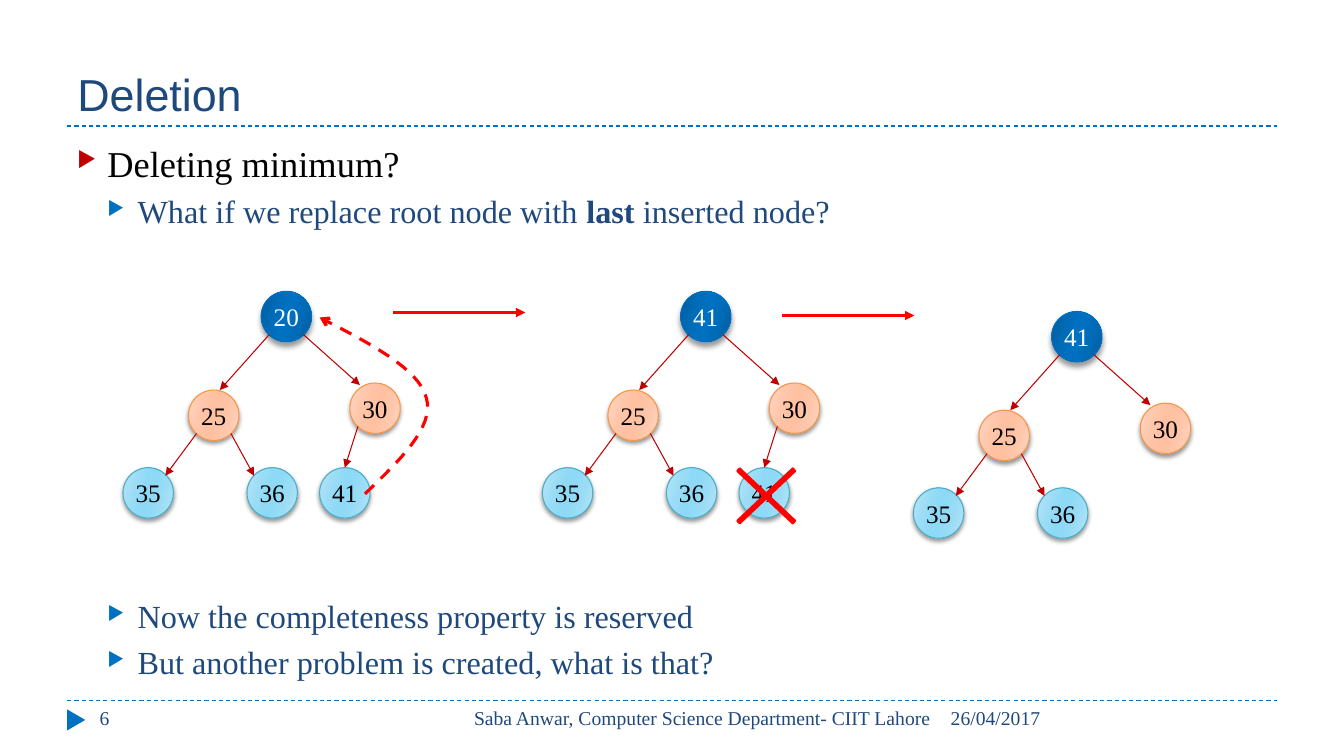
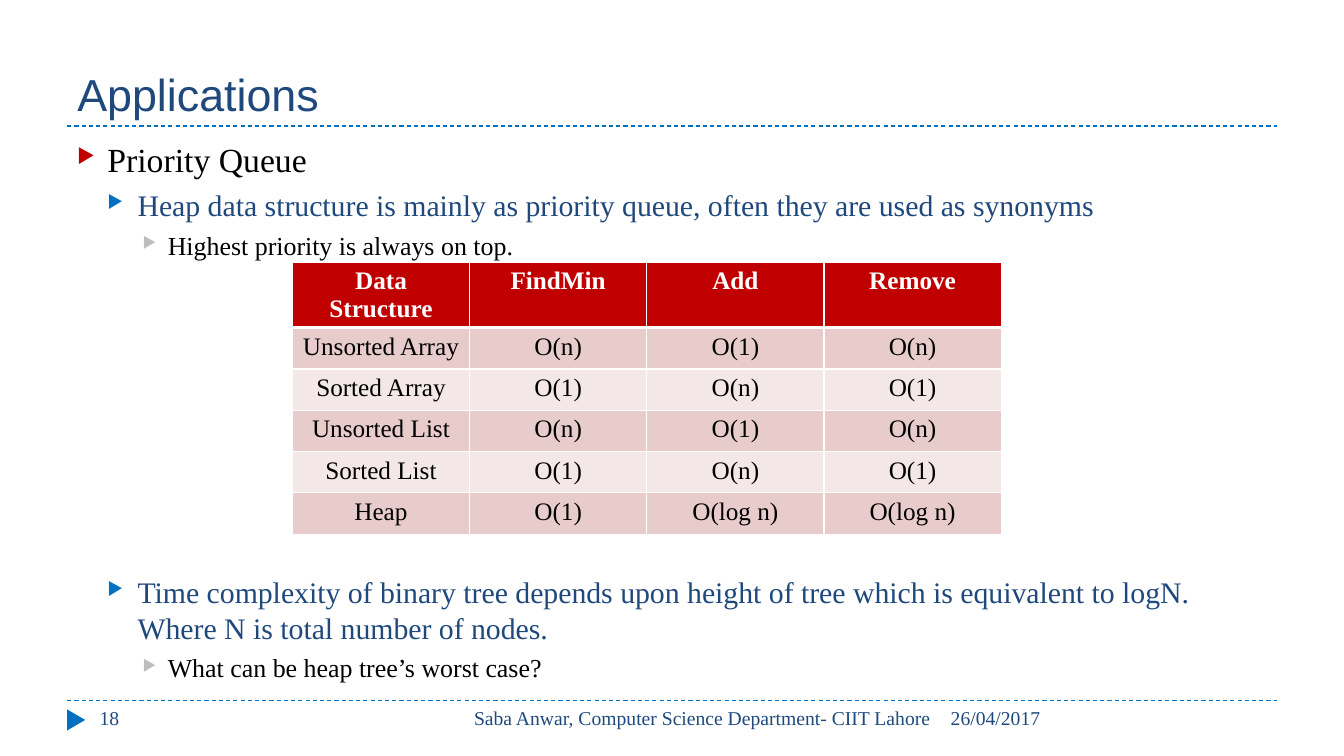
from dataclasses import dataclass

from lxml import etree
from pptx import Presentation
from pptx.dml.color import RGBColor
from pptx.enum.dml import MSO_LINE
from pptx.enum.shapes import MSO_CONNECTOR, MSO_SHAPE
from pptx.enum.text import MSO_ANCHOR, PP_ALIGN
from pptx.oxml.ns import qn
from pptx.util import Inches, Pt

DASH = MSO_LINE.DASH
STRAIGHT = MSO_CONNECTOR.STRAIGHT
OVAL, TRIANGLE, CROSS = MSO_SHAPE.OVAL, MSO_SHAPE.ISOSCELES_TRIANGLE, MSO_SHAPE.MATH_MULTIPLY
LEFT, CENTER, RIGHT = PP_ALIGN.LEFT, PP_ALIGN.CENTER, PP_ALIGN.RIGHT
BOTTOM, MIDDLE = MSO_ANCHOR.BOTTOM, MSO_ANCHOR.MIDDLE


@dataclass(frozen=True)
class Theme:
    navy: str = "1F497D"
    blue: str = "0070C0"
    crimson: str = "C00000"
    red: str = "FF0000"
    grey: str = "BDBDBD"
    black: str = "000000"
    white: str = "FFFFFF"
    bands: tuple = ("E8CCCC", "F4E7E7")
    head_font: str = "Arial"
    body_font: str = "Times New Roman"
    title: float = 32
    label: float = 18
    footer: float = 14
    gap: float = 5
    bullet: int = 60


T = Theme()

# Slide grid, in inches
W, H = 13.33, 7.5
MARGIN, CONTENT = 0.05 * W, 0.9 * W
HEAD_RULE, FOOT_RULE = H / 6, 0.927 * H

# Outline levels: indent, hanging part, bullet colour, text colour
LEVELS = [(0.3, 0.3, T.crimson, T.black),
          (0.6, 0.3, T.blue, T.navy),
          (0.9, 0.25, T.grey, T.black)]

# Tree rows: (edge, middle, centre) gradient colours, line, text, shadow blur and distance
ROOT = (("005C9D", "006BB7", "0070C0"), T.blue, T.white, 4, 3.4)
BRANCH = (("FFD7C5", "FFC6AA", "FFC1A1"), "F79646", T.black, 3, 2)
LEAF = (("B9E5F7", "99DCF6", "8DD9F6"), "4BACC6", T.black, 3, 2)

# Tree lengths are in node diameters, measured from the root's box
NODE = 0.5
TOP_TIP = (0.5, 0)
NODES = [  # x, y, look, parent, side it leaves the parent, arrow tip in own box
    (0, 0, ROOT, None, 0, None),
    (-1.44, 1.96, BRANCH, 0, -1, (0.62, 0)),
    (1.76, 1.82, BRANCH, 0, 1, (0.2, 0.04)),
    (-2.74, 3.5, LEAF, 1, -1, (0.84, 0.16)),
    (-0.28, 3.5, LEAF, 1, 1, (0.14, 0.16)),
    (1.16, 3.5, LEAF, 2, -1, TOP_TIP),
]


def rgb(value):
    return RGBColor.from_string(value)


def box(*lengths):
    return [Inches(v) for v in lengths]


def add_xml(parent, tag, **attrs):
    return etree.SubElement(parent, qn(tag), {k: str(v) for k, v in attrs.items()})


def add_color(parent, value):
    return add_xml(parent, "a:srgbClr", val=value)


def style_runs(p, size, color, font=T.body_font):
    for r in p.runs:
        r.font.size, r.font.name = Pt(size), font
        r.font.color.rgb = rgb(color)


def style_line(line, color, width, dash=None, head=None):
    line.color.rgb, line.width = rgb(color), Pt(width)
    if dash:
        line.dash_style = dash
    if head:
        add_xml(line._get_or_add_ln(), "a:tailEnd", type=head)


def add_line(s, start, end, color, width, dash=None, head=None):
    cn = s.shapes.add_connector(STRAIGHT, *box(*start, *end))
    style_line(cn.line, color, width, dash, head)
    add_xml(cn._element.spPr, "a:effectLst")
    return cn


def add_label(s, area, text, align=LEFT):
    tf = s.shapes.add_textbox(*box(*area)).text_frame
    tf.word_wrap = True
    tf.text = text
    tf.paragraphs[0].alignment = align
    style_runs(tf.paragraphs[0], T.footer, T.navy)


# Slide frame: title, dashed rules and footer
def add_frame(prs, title, number):
    s = prs.slides.add_slide(prs.slide_layouts[5])
    sp = s.shapes.title
    sp.left, sp.top, sp.width, sp.height = box(MARGIN, 0.17, CONTENT, HEAD_RULE - 0.17)
    tf = sp.text_frame
    tf.text, tf.vertical_anchor = title, BOTTOM
    tf.paragraphs[0].alignment = LEFT
    style_runs(tf.paragraphs[0], T.title, T.navy, T.head_font)

    for y in (FOOT_RULE, HEAD_RULE):
        add_line(s, (MARGIN, y), (MARGIN + CONTENT, y), T.blue, 0.75, DASH)
    marker = s.shapes.add_shape(TRIANGLE, *box(0.65, FOOT_RULE + 0.1, 0.21, 0.18))
    marker.rotation, marker.shadow.inherit = 90, False
    marker.fill.solid()
    marker.fill.fore_color.rgb = rgb(T.blue)
    marker.line.fill.background()

    date_x = 0.7 * W
    add_label(s, (date_x, FOOT_RULE, 0.25 * W, 0.4), "26/04/2017")
    add_label(s, (date_x - 5.11, FOOT_RULE, 5.11, 0.4),
              "Saba Anwar, Computer Science Department- CIIT Lahore", RIGHT)
    add_label(s, (0.89, FOOT_RULE, 2.89, 0.4), number)
    return s


# Bulleted outline; text between asterisks is bold
def add_outline(s, top, height, sizes, items):
    tf = s.shapes.add_textbox(*box(MARGIN, top, CONTENT, height)).text_frame
    tf.word_wrap = True
    for i, (level, text) in enumerate(items):
        p = tf.add_paragraph() if i else tf.paragraphs[0]
        indent, hang, bullet, color = LEVELS[level]
        p.level = level
        pPr = p._p.get_or_add_pPr()
        pPr.set("marL", str(Inches(indent)))
        pPr.set("indent", str(-Inches(hang)))
        add_color(add_xml(pPr, "a:buClr"), bullet)
        add_xml(pPr, "a:buSzPct", val=T.bullet * 1000)
        add_xml(pPr, "a:buChar", char="▶")
        if i:
            p.space_before = Pt(T.gap)
        for k, part in enumerate(text.split("*")):
            r = p.add_run()
            r.text, r.font.bold = part, k % 2 == 1
        style_runs(p, sizes[level], color)


# Tree diagram
def add_node(s, x, y, text, look):
    (edge, middle, centre), line, color, blur, dist = look
    sp = s.shapes.add_shape(OVAL, *box(x, y, NODE, NODE))
    sp.fill.gradient()
    sp.fill.gradient_angle = 344
    stops = sp._element.spPr.find(qn("a:gradFill")).find(qn("a:gsLst"))
    for stop in list(stops):
        stops.remove(stop)
    for pos, value in zip((0, 30, 45, 55, 73, 100),
                          (edge, middle, centre, centre, middle, edge)):
        add_color(add_xml(stops, "a:gs", pos=pos * 1000), value)
    style_line(sp.line, line, 0.75)

    sp.shadow.inherit = False
    effects = sp._element.spPr.find(qn("a:effectLst"))
    shadow = add_xml(effects, "a:outerShdw", blurRad=Pt(blur), dist=Pt(dist),
                     dir=5400000, rotWithShape=0)
    add_xml(add_color(shadow, T.black), "a:alpha", val=40000)

    tf = sp.text_frame
    tf.margin_left = tf.margin_right = 0
    tf.vertical_anchor = MIDDLE
    tf.text = text
    tf.paragraphs[0].alignment = CENTER
    style_runs(tf.paragraphs[0], T.label, color)
    return sp


def add_tree(s, x, y, keys):
    def at(dx, dy):
        return x + dx * NODE, y + dy * NODE

    rows = NODES[:len(keys)]
    shapes = [add_node(s, *at(row[0], row[1]), key, row[2]) for key, row in zip(keys, rows)]
    for sp, (dx, dy, _, parent, side, tip) in zip(shapes, rows):
        if parent is None:
            continue
        px, py = NODES[parent][:2]
        cn = add_line(s, at(px + 0.5 + 0.34 * side, py + 0.86),
                      at(dx + tip[0], dy + tip[1]), T.crimson, 0.75, head="triangle")
        if tip == TOP_TIP:
            cn.end_connect(sp, 0)
    return at


def bezier(points, steps=16):
    for k in range(1, steps + 1):
        t = k / steps
        weights = ((1 - t) ** 3, 3 * t * (1 - t) ** 2, 3 * t * t * (1 - t), t ** 3)
        yield tuple(sum(w * pt[i] for w, pt in zip(weights, points)) for i in (0, 1))


def add_move(s, at):
    """Dashed curve from the last leaf up to the root."""
    curve = [at(*pt) for pt in ((2.06, 4.02), (2.74, 3.36), (3.44, 2.7), (3.28, 2.12),
                                (3.14, 1.54), (2.14, 1.02), (1.16, 0.52))]
    points = [*bezier(curve[:4]), *bezier(curve[3:])]
    fb = s.shapes.build_freeform(*box(*curve[0]), scale=1.0)
    fb.add_line_segments([box(*pt) for pt in points], close=False)
    sp = fb.convert_to_shape()
    sp.fill.background()
    sp.shadow.inherit = False
    style_line(sp.line, T.red, 2.25, DASH, "arrow")


def add_cross(s, at):
    sp = s.shapes.add_shape(CROSS, *box(*at(0.64, 3.06), 2.12 * NODE, 2 * NODE))
    sp.adjustments[0] = 0.035
    sp.shadow.inherit = False
    sp.fill.solid()
    sp.fill.fore_color.rgb = rgb(T.red)
    style_line(sp.line, T.red, 1.5)


def add_step(s, x, y):
    add_line(s, (x, y), (x + 1.31, y), T.red, 2.25, head="triangle")


# Table with a solid header and banded rows
def add_banded_table(s, x, y, width, head_height, row_height, rows):
    height = head_height + row_height * (len(rows) - 1)
    table = s.shapes.add_table(len(rows), len(rows[0]), *box(x, y, width, height)).table
    for column in table.columns:
        column.width = Inches(width / len(rows[0]))
    for i, values in enumerate(rows):
        table.rows[i].height = Inches(row_height if i else head_height)
        for j, value in enumerate(values):
            cell = table.cell(i, j)
            tcPr = cell._tc.get_or_add_tcPr()
            for side in "LRTB":
                thick = (i, side) in ((0, "B"), (1, "T"))
                ln = add_xml(tcPr, f"a:ln{side}", w=Pt(3 if thick else 1))
                add_color(add_xml(ln, "a:solidFill"), T.white)
            cell.fill.solid()
            cell.fill.fore_color.rgb = rgb(T.bands[(i - 1) % 2] if i else T.crimson)
            cell.margin_bottom = 0
            cell.text = value
            p = cell.text_frame.paragraphs[0]
            p.alignment = CENTER
            style_runs(p, T.label, T.black if i else T.white)
            p.runs[0].font.bold = i == 0


def deletion_slide(prs):
    s = add_frame(prs, "Deletion", "6")
    sizes = (26, 23, 20)
    add_outline(s, 1.35, 1.1, sizes, [
        (0, "Deleting minimum?"),
        (1, "What if we replace root node with *last* inserted node?")])
    add_tree(s, 10.43, 3.09, ["41", "25", "30", "35", "36"])
    before = add_tree(s, 2.59, 2.89, ["20", "25", "30", "35", "36", "41"])
    add_step(s, 3.9, 3.1)
    add_move(s, before)
    replaced = add_tree(s, 6.75, 2.89, ["41", "25", "30", "35", "36", "41"])
    add_step(s, 7.76, 3.13)
    add_cross(s, replaced)
    add_outline(s, 5.87, 0.95, sizes, [
        (1, "Now the completeness property is reserved"),
        (1, "But another problem is created, what is that?")])


def applications_slide(prs):
    s = add_frame(prs, "Applications", "18")
    sizes = (24.1, 21.3, 18.5)
    add_outline(s, 1.33, 1.26, sizes, [
        (0, "Priority Queue"),
        (1, "Heap data structure is mainly as priority queue, often they are used as synonyms"),
        (2, "Highest priority is always on top.")])
    add_banded_table(s, 2.9, 2.6, 7.03, 0.64, 0.41, [
        ("Data Structure", "FindMin", "Add", "Remove"),
        ("Unsorted Array", "O(n)", "O(1)", "O(n)"),
        ("Sorted Array", "O(1)", "O(n)", "O(1)"),
        ("Unsorted List", "O(n)", "O(1)", "O(n)"),
        ("Sorted List", "O(1)", "O(n)", "O(1)"),
        ("Heap", "O(1)", "O(log n)", "O(log n)")])
    add_outline(s, 5.64, 1.2, sizes, [
        (1, "Time complexity of binary tree depends upon height of tree which is "
            "equivalent to logN. Where N is total number of nodes."),
        (2, "What can be heap tree’s worst case?")])


def main():
    prs = Presentation()
    prs.slide_width, prs.slide_height = box(W, H)
    deletion_slide(prs)
    applications_slide(prs)
    prs.save("out.pptx")


if __name__ == "__main__":
    main()
